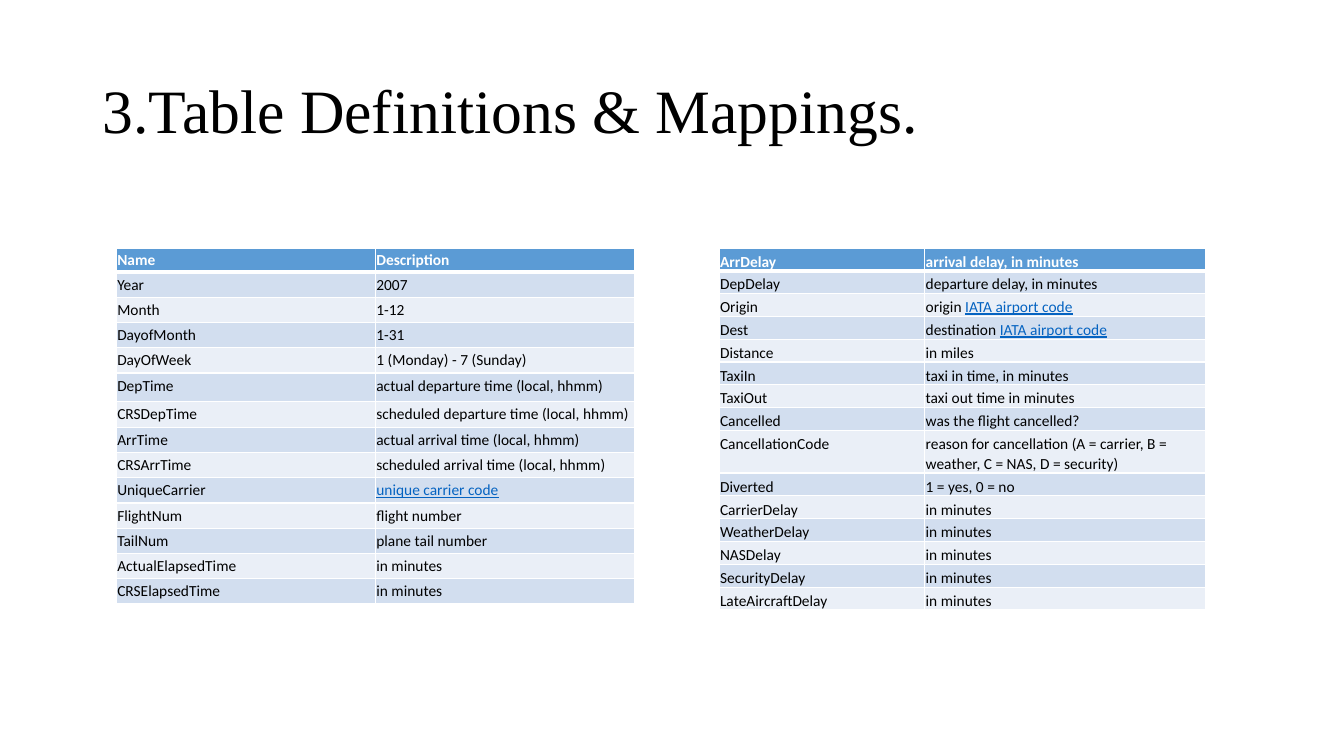
import pptx
import pptx.dml.color
import pptx.enum.text
import pptx.oxml.ns
import pptx.util
from lxml import etree

Inches = pptx.util.Inches
Pt = pptx.util.Pt
RGBColor = pptx.dml.color.RGBColor

SLIDE_WIDTH = Inches(13.33)
SLIDE_HEIGHT = Inches(7.5)
TABLE_TOP = 0.328  # share of the slide's height

BLACK = RGBColor(0x00, 0x00, 0x00)
WHITE = RGBColor(0xFF, 0xFF, 0xFF)
HEADER_BLUE = RGBColor(0x5B, 0x9B, 0xD5)
BAND_COLOURS = (RGBColor(0xEA, 0xEF, 0xF7), RGBColor(0xD2, 0xDE, 0xEF))
LINK_BLUE = RGBColor(0x05, 0x63, 0xC1)

# Each row: field name, plain description, and an optional link-styled ending.
FLIGHT_FIELDS = [
    ("Name", "Description"),
    ("Year", "2007"),
    ("Month", "1-12"),
    ("DayofMonth", "1-31"),
    ("DayOfWeek", "1 (Monday) - 7 (Sunday)"),
    ("DepTime", "actual departure time (local, hhmm)"),
    ("CRSDepTime", "scheduled departure time (local, hhmm)"),
    ("ArrTime", "actual arrival time (local, hhmm)"),
    ("CRSArrTime", "scheduled arrival time (local, hhmm)"),
    ("UniqueCarrier", "", "unique carrier code"),
    ("FlightNum", "flight number"),
    ("TailNum", "plane tail number"),
    ("ActualElapsedTime", "in minutes"),
    ("CRSElapsedTime", "in minutes"),
]
DELAY_FIELDS = [
    ("ArrDelay", "arrival delay, in minutes"),
    ("DepDelay", "departure delay, in minutes"),
    ("Origin", "origin ", "IATA airport code"),
    ("Dest", "destination ", "IATA airport code"),
    ("Distance", "in miles"),
    ("TaxiIn", "taxi in time, in minutes"),
    ("TaxiOut", "taxi out time in minutes"),
    ("Cancelled", "was the flight cancelled?"),
    ("CancellationCode",
     "reason for cancellation (A = carrier, B = weather, C = NAS, D = security)"),
    ("Diverted", "1 = yes, 0 = no"),
    ("CarrierDelay", "in minutes"),
    ("WeatherDelay", "in minutes"),
    ("NASDelay", "in minutes"),
    ("SecurityDelay", "in minutes"),
    ("LateAircraftDelay", "in minutes"),
]


def style_run(run, size, colour, font="Calibri", bold=False, underline=False):
    """Set the font of one run."""
    run.font.name = font
    run.font.size = Pt(size)
    run.font.color.rgb = colour
    run.font.bold = bold
    run.font.underline = underline


def add_title(slide, wording):
    """Add the slide title, centred vertically in its band."""
    title = slide.shapes.add_textbox(Inches(0.92), Inches(0.4),
                                     Inches(11.5), Inches(1.45))
    frame = title.text_frame
    frame.word_wrap = True
    frame.vertical_anchor = pptx.enum.text.MSO_ANCHOR.MIDDLE
    frame.text = wording
    frame.paragraphs[0].line_spacing = 0.9
    style_run(frame.paragraphs[0].runs[0], 44, BLACK, "Times New Roman")


def add_borders(cell, bottom_width):
    """Draw white borders round a cell; only the bottom width varies."""
    properties = cell._tc.get_or_add_tcPr()
    for side, width in (("L", 1), ("R", 1), ("T", 1), ("B", bottom_width)):
        line = etree.SubElement(properties, pptx.oxml.ns.qn("a:ln" + side),
                                w=str(Pt(width)))
        fill = etree.SubElement(line, pptx.oxml.ns.qn("a:solidFill"))
        etree.SubElement(fill, pptx.oxml.ns.qn("a:srgbClr"), val=str(WHITE))


def fill_cell(cell, plain, link, row, top_margin, space_after):
    """Write and format one cell as header or as banded body."""
    header = row == 0
    add_borders(cell, 3 if header else 1)
    cell.fill.solid()
    cell.fill.fore_color.rgb = HEADER_BLUE if header else BAND_COLOURS[row % 2]
    cell.margin_left = cell.margin_right = Inches(0.01)
    cell.margin_top = Inches(top_margin)
    cell.margin_bottom = 0

    paragraph = cell.text_frame.paragraphs[0]
    paragraph.line_spacing = 1.07
    paragraph.space_after = Pt(space_after)
    if plain:
        paragraph.text = plain
        style_run(paragraph.runs[0], 11, WHITE if header else BLACK, bold=header)
    if link:
        link_run = paragraph.add_run()
        link_run.text = link
        style_run(link_run, 11, LINK_BLUE, underline=True)


def add_field_table(slide, fields, left, column_widths, row_height,
                    special_heights, margins, space_after):
    """Add a two-column table of fields; left is a share of the slide's width.

    special_heights maps row numbers to heights unlike row_height, and
    margins holds the top margins of header and body cells.
    """
    heights = [special_heights.get(row, row_height) for row in range(len(fields))]
    table = slide.shapes.add_table(
        len(fields), 2, int(SLIDE_WIDTH * left), int(SLIDE_HEIGHT * TABLE_TOP),
        Inches(sum(column_widths)), Inches(sum(heights))).table
    for column, width in zip(table.columns, column_widths):
        column.width = Inches(width)
    for row, (field, height) in enumerate(zip(fields, heights)):
        table.rows[row].height = Inches(height)
        name, description, *link = field
        top_margin = margins[min(row, 1)]
        fill_cell(table.cell(row, 0), name, "", row, top_margin, space_after)
        fill_cell(table.cell(row, 1), description, "".join(link), row,
                  top_margin, space_after)


def main():
    """Build the slide and save it."""
    presentation = pptx.Presentation()
    presentation.slide_width = SLIDE_WIDTH
    presentation.slide_height = SLIDE_HEIGHT
    slide = presentation.slides.add_slide(presentation.slide_layouts[6])

    add_title(slide, "3.Table Definitions & Mappings.")
    add_field_table(slide, FLIGHT_FIELDS, 0.0865, (2.57, 2.57), 0.25,
                    {0: 0.24, 5: 0.28, 6: 0.26}, (0.01, 0.02), 8)
    add_field_table(slide, DELAY_FIELDS, 0.535, (2.04, 2.79), 0.19,
                    {8: 0.36}, (0.03, 0.03), 6)
    presentation.save("out.pptx")


main()
